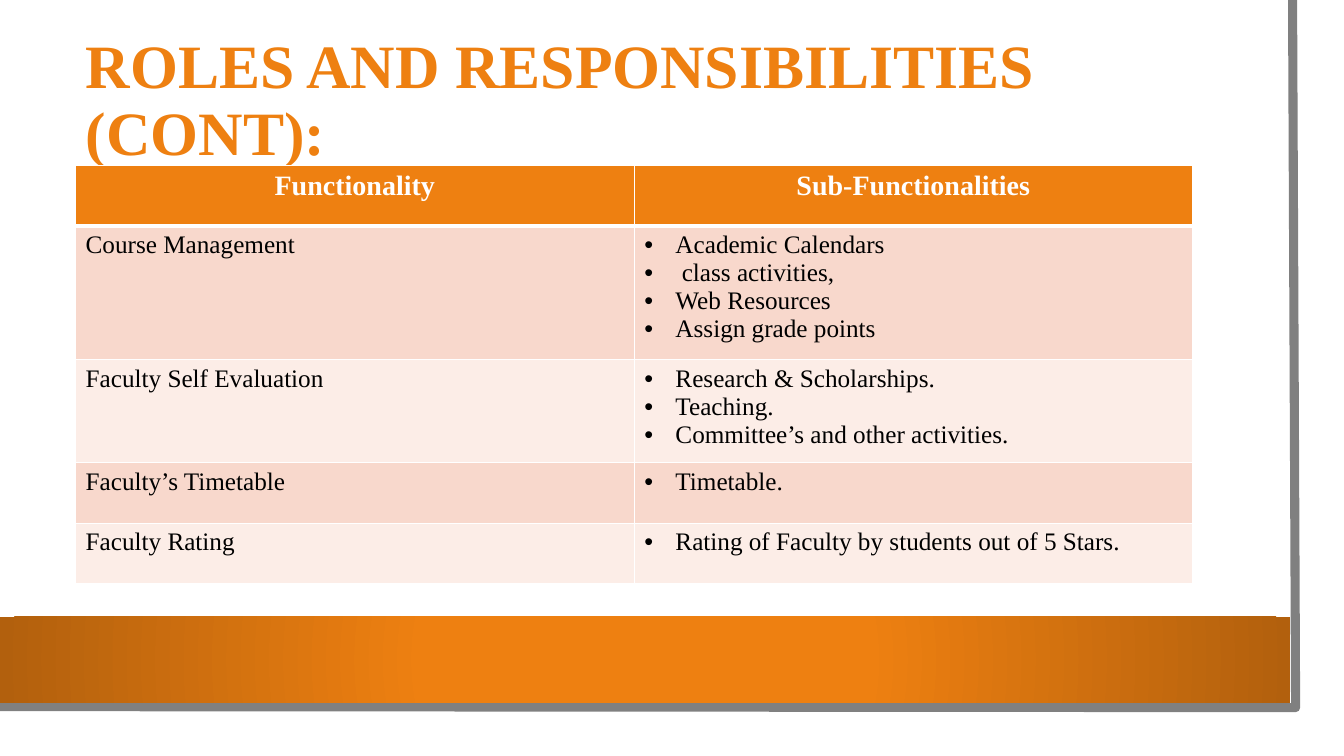
import dataclasses

import lxml.etree
import pptx
import pptx.dml.color
import pptx.enum.shapes
import pptx.enum.text
import pptx.oxml
import pptx.oxml.ns
import pptx.util

Inches = pptx.util.Inches
Pt = pptx.util.Pt
qn = pptx.oxml.ns.qn


@dataclasses.dataclass(frozen=True)
class Theme:
    font: str = "Times New Roman"
    accent: str = "EE8011"
    accent_dark: str = "B2600D"
    white: str = "FFFFFF"
    black: str = "000000"
    frame: str = "808080"
    bands: tuple = ("F8D8CC", "FCEDE7")
    title_size: int = 44
    header_size: int = 20
    body_size: int = 18


def rgb(value):
    return pptx.dml.color.RGBColor.from_string(value)


class SlideBuilder:
    def __init__(self, prs, theme):
        self.theme = theme
        self.s = prs.slides.add_slide(prs.slide_layouts[5])

    def to_backdrop(self, sp):
        """Place a decoration behind the title, above earlier decorations."""
        sp.shadow.inherit = False
        self.s.shapes.title.element.addprevious(sp.element)

    def rectangle(self, left, top, width, height, color):
        sp = self.s.shapes.add_shape(
            pptx.enum.shapes.MSO_SHAPE.RECTANGLE,
            Inches(left), Inches(top), Inches(width), Inches(height))
        sp.fill.solid()
        sp.fill.fore_color.rgb = rgb(color)
        sp.line.fill.background()
        self.to_backdrop(sp)
        return sp

    def radial_band(self, left, top, width, height, inner, outer):
        sp = self.rectangle(left, top, width, height, inner)
        grad = pptx.oxml.parse_xml(
            f'<a:gradFill {pptx.oxml.ns.nsdecls("a")} rotWithShape="1"><a:gsLst>'
            f'<a:gs pos="34000"><a:srgbClr val="{inner}"/></a:gs>'
            f'<a:gs pos="100000"><a:srgbClr val="{outer}"/></a:gs></a:gsLst>'
            '<a:path path="circle"><a:fillToRect l="50000" t="50000" r="50000" b="50000"/>'
            '</a:path></a:gradFill>')
        props = sp.element.spPr
        props.replace(props.find(qn("a:solidFill")), grad)

    def open_outline(self, points, color, width):
        points = [(Inches(x), Inches(y)) for x, y in points]
        builder = self.s.shapes.build_freeform(*points[0])
        builder.add_line_segments(points[1:], close=False)
        sp = builder.convert_to_shape()
        sp.fill.background()
        sp.line.color.rgb = rgb(color)
        sp.line.width = Pt(width)
        self.to_backdrop(sp)

    def run(self, p, text, size, color, bold=False):
        r = p.add_run()
        r.text = text
        r.font.name = self.theme.font
        r.font.size = Pt(size)
        r.font.bold = bold
        r.font.color.rgb = rgb(color)

    def title(self, text, left, top, width, height):
        sp = self.s.shapes.title
        sp.left, sp.top = Inches(left), Inches(top)
        sp.width, sp.height = Inches(width), Inches(height)
        tf = sp.text_frame
        tf.word_wrap = True
        tf.auto_size = pptx.enum.text.MSO_AUTO_SIZE.NONE
        tf.vertical_anchor = pptx.enum.text.MSO_ANCHOR.MIDDLE
        p = tf.paragraphs[0]
        p.alignment = pptx.enum.text.PP_ALIGN.LEFT
        p.line_spacing = 0.9
        self.run(p, text, self.theme.title_size, self.theme.accent, True)

    def bullet(self, p, indent=0.31):
        props = p._p.get_or_add_pPr()
        props.set("marL", str(Inches(indent)))
        props.set("indent", str(-Inches(indent)))
        font = lxml.etree.SubElement(props, qn("a:buFont"))
        font.set("typeface", "Arial")
        lxml.etree.SubElement(props, qn("a:buChar")).set("char", "•")

    def cell_style(self, cell, fill, top=1, bottom=1):
        props = cell._tc.get_or_add_tcPr()
        for side, width in (("L", 1), ("R", 1), ("T", top), ("B", bottom)):
            ln = lxml.etree.SubElement(props, qn(f"a:ln{side}"))
            ln.set("w", str(Pt(width)))
            solid = lxml.etree.SubElement(ln, qn("a:solidFill"))
            lxml.etree.SubElement(solid, qn("a:srgbClr")).set("val", self.theme.white)
        cell.fill.solid()
        cell.fill.fore_color.rgb = rgb(fill)

    def table(self, header, rows, left, top, col_width, row_heights):
        t = self.theme
        table = self.s.shapes.add_table(
            len(rows) + 1, len(header), Inches(left), Inches(top),
            Inches(col_width * len(header)), Inches(sum(row_heights))).table
        for column in table.columns:
            column.width = Inches(col_width)
        for row, height in zip(table.rows, row_heights):
            row.height = Inches(height)
        for c, text in enumerate(header):
            cell = table.cell(0, c)
            self.cell_style(cell, t.accent, bottom=3)
            p = cell.text_frame.paragraphs[0]
            p.alignment = pptx.enum.text.PP_ALIGN.CENTER
            self.run(p, text, t.header_size, t.white, True)
        for i, (name, items) in enumerate(rows):
            for c, lines in enumerate(([name], items)):
                cell = table.cell(i + 1, c)
                self.cell_style(cell, t.bands[i % 2], top=1 if i else 3)
                tf = cell.text_frame
                for n, line in enumerate(lines):
                    p = tf.add_paragraph() if n else tf.paragraphs[0]
                    if c == 1:
                        self.bullet(p)
                    self.run(p, line, t.body_size, t.black)


def main():
    prs = pptx.Presentation()
    prs.slide_width, prs.slide_height = Inches(13.33), Inches(7.5)
    theme = Theme()
    slide = SlideBuilder(prs, theme)
    slide.rectangle(0, 0, 13.1, 7.27, theme.white)
    slide.open_outline([(12.82, 0), (12.85, 7.02), (-0.03, 7.01)], theme.frame, 6.5)
    slide.radial_band(0, 6.12, 12.8, 0.85, theme.accent, theme.accent_dark)
    slide.title("ROLES AND RESPONSIBILITIES (CONT):", 0.75, 0.38, 9.77, 1.26)
    slide.table(
        ["Functionality", "Sub-Functionalities"],
        [
            ("Course Management", ["Academic Calendars", " class activities,",
                                   "Web Resources", "Assign grade points"]),
            ("Faculty Self Evaluation", ["Research & Scholarships.", "Teaching.",
                                         "Committee’s and other activities."]),
            ("Faculty’s Timetable", ["Timetable."]),
            ("Faculty Rating", ["Rating of Faculty by students out of 5 Stars."]),
        ],
        0.75, 1.64, 5.54, [0.6, 1.33, 1.02, 0.6, 0.6])
    prs.save("out.pptx")


if __name__ == "__main__":
    main()
